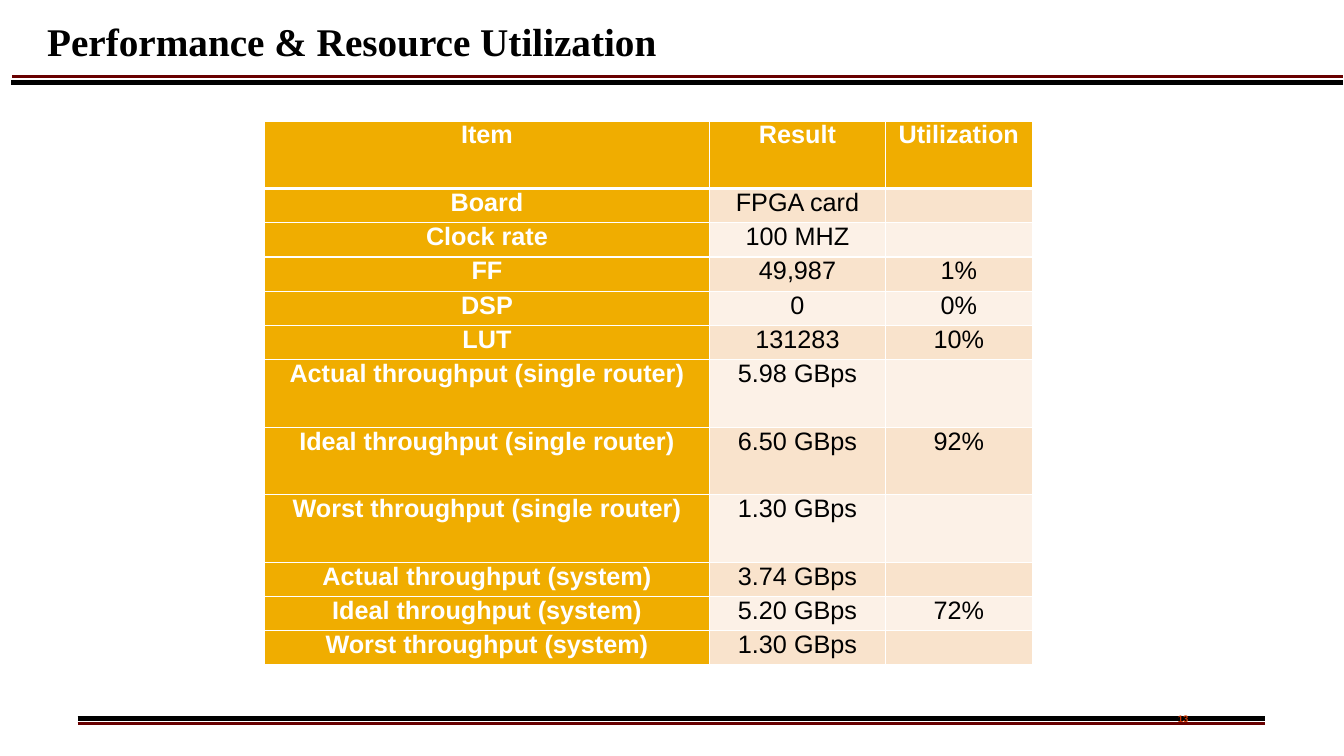
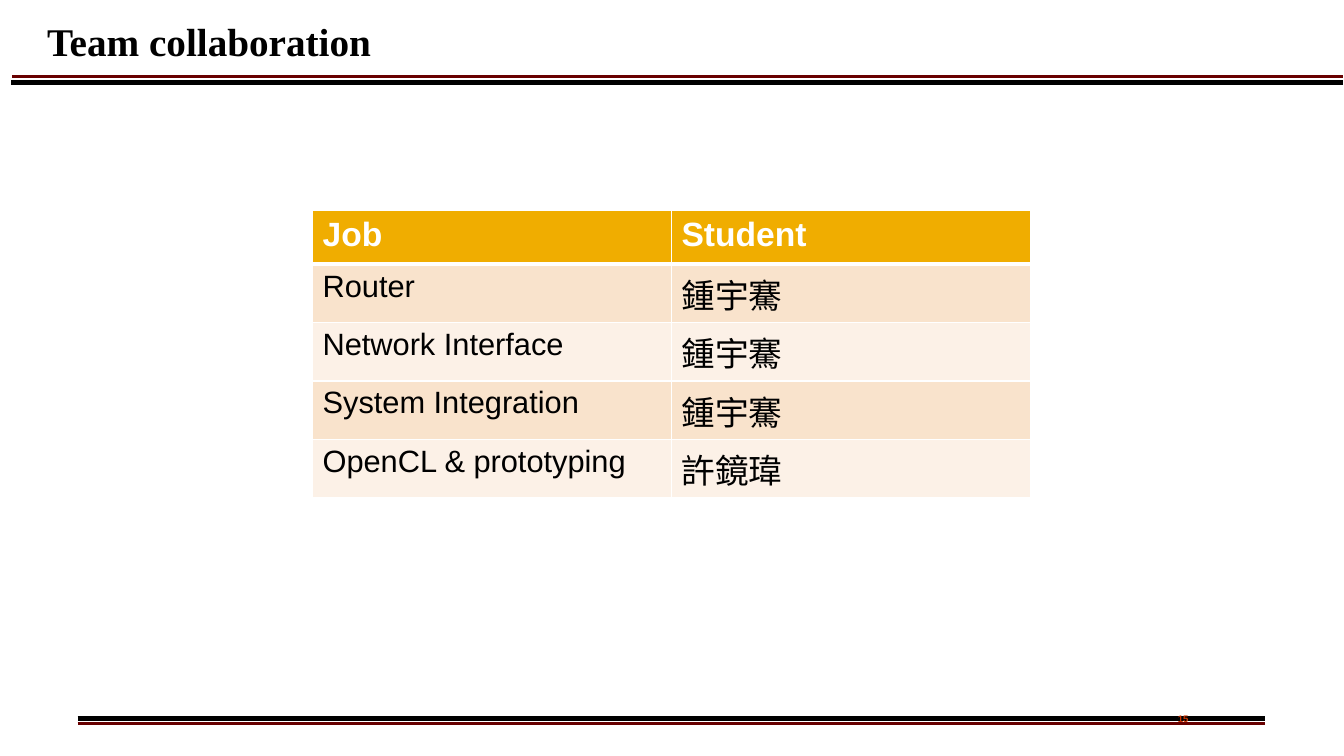
from lxml import etree
from pptx import Presentation
from pptx.dml.color import RGBColor
from pptx.enum.shapes import MSO_CONNECTOR
from pptx.enum.text import MSO_ANCHOR, PP_ALIGN
from pptx.oxml.ns import qn
from pptx.util import Inches, Pt

LEFT, CENTER = PP_ALIGN.LEFT, PP_ALIGN.CENTER
MIDDLE, TOP = MSO_ANCHOR.MIDDLE, MSO_ANCHOR.TOP
STRAIGHT = MSO_CONNECTOR.STRAIGHT

COLORS = {"black": "000000", "white": "FFFFFF", "maroon": "680000", "red": "CC3300",
          "amber": "F0AD00", "band_dark": "F9E3CC", "band_light": "FCF1E7"}
BODY_FONT, TITLE_FONT = "Arial", "Times New Roman"
SLIDE_SIZE = (13.33, 7.5)

# Start, end, colour and width of each rule
RULES = [
    ((0.77, 7.18), (12.55, 7.18), "maroon", 2),
    ((0.77, 7.13), (12.55, 7.13), "black", 3.5),
    ((0.12, 0.76), (13.32, 0.76), "maroon", 2),
    ((0.11, 0.82), (13.32, 0.82), "black", 3.5),
]
TITLE_BOX = (0.37, 0.05, 12.71, 0.71)
NUMBER_BOX = (11.23, 7.04, 1.01, 0.24)

SINGLE_ROW = 0.34
DOUBLE_ROW = 0.67
SLIDES = [
    {
        "title": "Performance & Resource Utilization",
        "number": "13",
        "origin": (2.62, 1.2),
        "columns": [4.42, 1.74, 1.46],
        "row_heights": [DOUBLE_ROW] + [SINGLE_ROW] * 5 + [DOUBLE_ROW] * 3 + [SINGLE_ROW] * 3,
        "header_size": 18,
        "column_sizes": [18, 18, 18],
        "header_column": True,
        "align": CENTER,
        "margins": (0.07, 0),
        "rows": [
            ("Item", "Result", "Utilization"),
            ("Board", "FPGA card", ""),
            ("Clock rate", "100 MHZ", ""),
            ("FF", "49,987", "1%"),
            ("DSP", "0", "0%"),
            ("LUT", "131283", "10%"),
            ("Actual throughput (single router)", "5.98 GBps", ""),
            ("Ideal throughput (single router)", "6.50 GBps", "92%"),
            ("Worst throughput (single router)", "1.30 GBps", ""),
            ("Actual throughput (system)", "3.74 GBps", ""),
            ("Ideal throughput (system)", "5.20 GBps", "72%"),
            ("Worst throughput (system)", "1.30 GBps", ""),
        ],
    },
    {
        "title": "Team collaboration",
        "number": "15",
        "origin": (3.1, 2.09),
        "columns": [3.56, 3.56],
        "row_heights": [0.53] + [0.58] * 4,
        "header_size": 24,
        "column_sizes": [22, 24],
        "header_column": False,
        "align": LEFT,
        "margins": (0.1, 0.05),
        "rows": [
            ("Job", "Student"),
            ("Router", "鍾宇騫"),
            ("Network Interface", "鍾宇騫"),
            ("System Integration", "鍾宇騫"),
            ("OpenCL & prototyping", "許鏡瑋"),
        ],
    },
]


def rgb(name):
    """Return the named colour."""
    return RGBColor.from_string(COLORS[name])


def write(paragraph, text, size, color, bold=True, font=BODY_FONT, align=LEFT):
    """Add one formatted run to a paragraph."""
    paragraph.alignment = align
    run = paragraph.add_run()
    run.text = text
    run.font.name, run.font.size, run.font.bold = font, Pt(size), bold
    run.font.color.rgb = rgb(color)


def add_rule(slide, start, end, color, width):
    """Draw a straight line without a shadow."""
    rule = slide.shapes.add_connector(STRAIGHT, *map(Inches, start + end))
    rule.line.color.rgb = rgb(color)
    rule.line.width = Pt(width)
    etree.SubElement(rule._element.spPr, qn("a:effectLst"))


def add_text(slide, box, text, margins, anchor, **style):
    """Add a text box holding one line."""
    frame = slide.shapes.add_textbox(*map(Inches, box)).text_frame
    frame.word_wrap = True
    frame.vertical_anchor = anchor
    frame.margin_left = frame.margin_right = Inches(margins[0])
    frame.margin_top = frame.margin_bottom = Inches(margins[1])
    write(frame.paragraphs[0], text, **style)


def add_borders(cell, top, bottom):
    """Give a cell white borders; the sides are one point wide."""
    properties = cell._tc.get_or_add_tcPr()
    for side, width in (("L", 1), ("R", 1), ("T", top), ("B", bottom)):
        border = etree.SubElement(properties, qn(f"a:ln{side}"), w=str(Pt(width)))
        fill = etree.SubElement(border, qn("a:solidFill"))
        etree.SubElement(fill, qn("a:srgbClr"), val=COLORS["white"])


def add_table(slide, content):
    """Build a banded table with a header row and an optional header column."""
    rows, columns, heights = content["rows"], content["columns"], content["row_heights"]
    frame = slide.shapes.add_table(
        len(rows), len(columns), *map(Inches, content["origin"]),
        Inches(sum(columns)), Inches(sum(heights)))
    table = frame.table
    table.first_row = table.horz_banding = False
    for column, width in zip(table.columns, columns):
        column.width = Inches(width)
    for row, height in zip(table.rows, heights):
        row.height = Inches(height)

    side, edge = map(Inches, content["margins"])
    for row_index, texts in enumerate(rows):
        band = "band_dark" if row_index % 2 else "band_light"
        for column_index, text in enumerate(texts):
            cell = table.cell(row_index, column_index)
            is_top = row_index == 0
            is_header = is_top or (content["header_column"] and column_index == 0)
            cell.margin_left = cell.margin_right = side
            cell.margin_top = cell.margin_bottom = edge
            add_borders(cell, top=3 if row_index == 1 else 1, bottom=3 if is_top else 1)
            cell.fill.solid()
            cell.fill.fore_color.rgb = rgb("amber" if is_header else band)
            if text:
                size = content["header_size"] if is_top else content["column_sizes"][column_index]
                write(cell.text_frame.paragraphs[0], text, size,
                      "white" if is_header else "black", is_header, align=content["align"])


def add_slide(presentation, content):
    """Add a slide with the shared rules, number and title, then its table."""
    slide = presentation.slides.add_slide(presentation.slide_layouts[6])
    for rule in RULES:
        add_rule(slide, *rule)
    add_text(slide, NUMBER_BOX, content["number"], (0.06, 0.03), TOP,
             size=6.8, color="red", align=CENTER)
    add_text(slide, TITLE_BOX, content["title"], (0.1, 0.05), MIDDLE,
             size=28, color="black", font=TITLE_FONT)
    add_table(slide, content)


def main():
    """Build and save the presentation."""
    presentation = Presentation()
    presentation.slide_width, presentation.slide_height = map(Inches, SLIDE_SIZE)
    for content in SLIDES:
        add_slide(presentation, content)
    presentation.save("out.pptx")


main()
